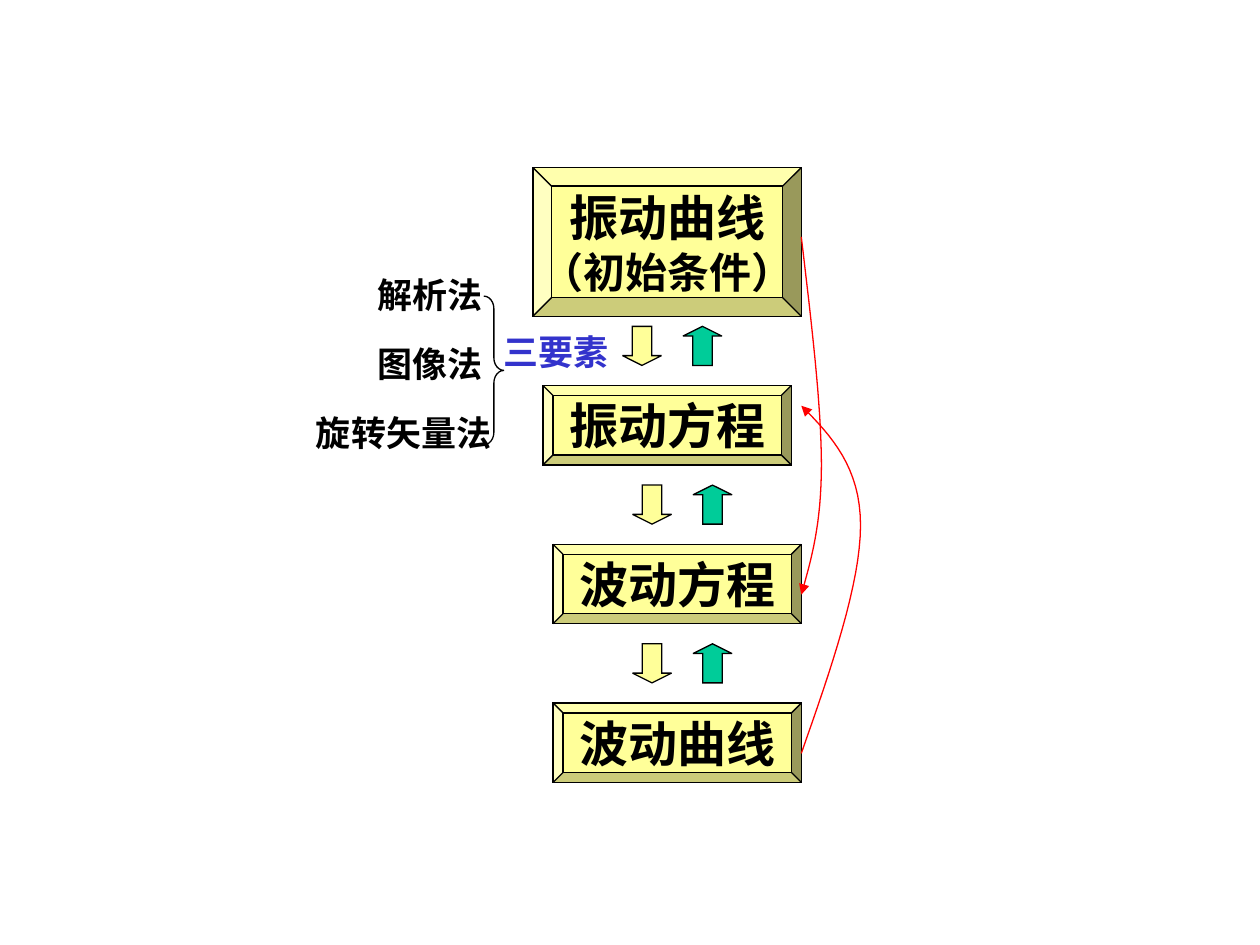
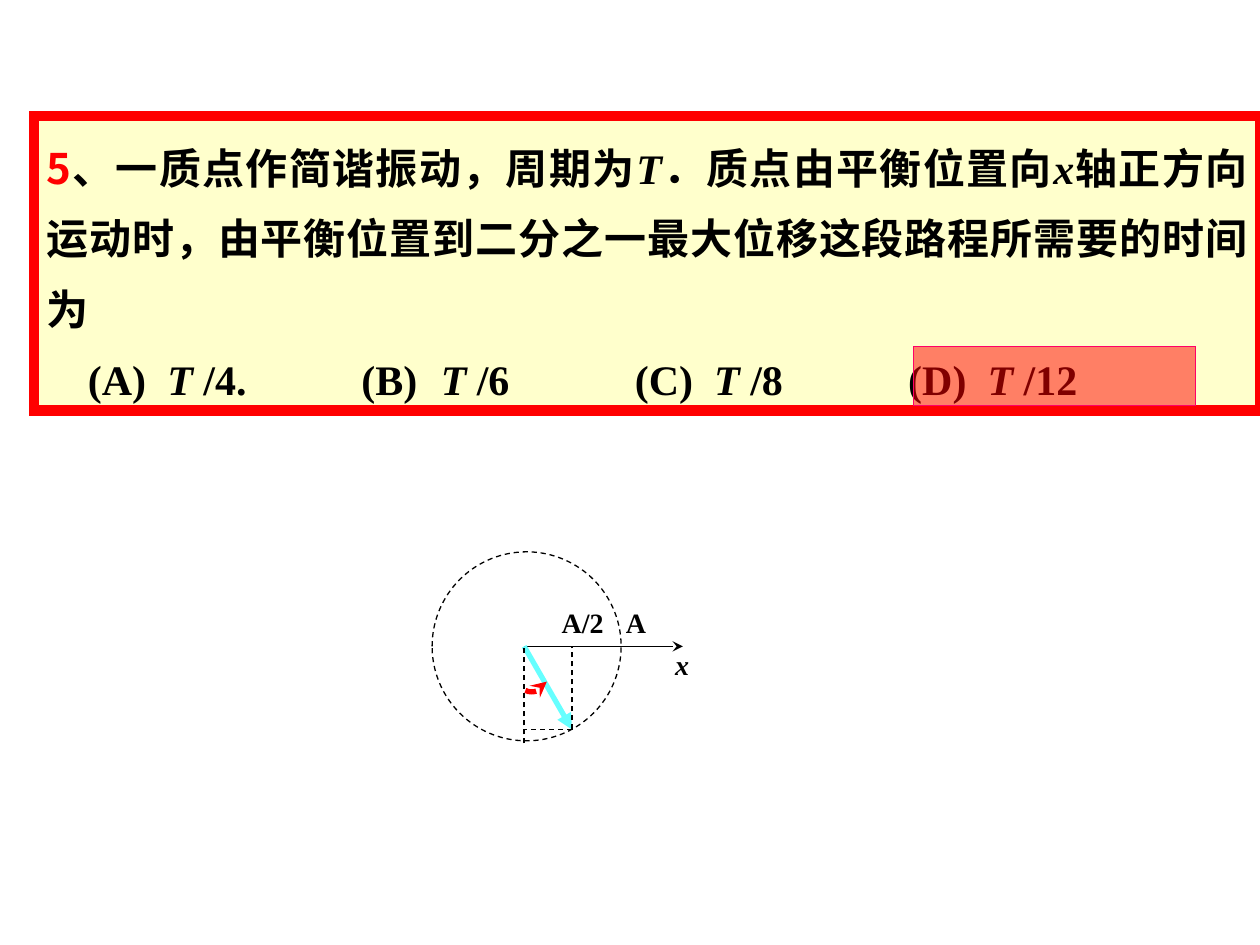
import pptx
import pptx.util
import pptx.dml.color
import pptx.enum.dml
import pptx.enum.shapes
import pptx.enum.text
import pptx.oxml.ns
from lxml import etree

Inches = pptx.util.Inches
Pt = pptx.util.Pt
KIND = pptx.enum.shapes.MSO_SHAPE
ALIGN = pptx.enum.text.PP_ALIGN
ANCHOR = pptx.enum.text.MSO_ANCHOR
FONT = "Times New Roman"
SANS = "Noto Sans CJK JP"
HEX = {
    "ink": "000000", "red": "FF0000", "blue": "3333CC", "green": "00CC99",
    "yellow": "FFFF99", "cream": "FFFFCC", "cyan": "66FFFF", "pink": "FF0066",
}


def color(name):
    return pptx.dml.color.RGBColor.from_string(HEX[name])


def child(parent, tag, **attrs):
    return etree.SubElement(parent, pptx.oxml.ns.qn(tag), attrs)


def stroke(item, name, width=0.75, dash=False, head=None):
    """Style an outline with sharp corners and an optional arrowhead."""
    line = item.line
    line.color.rgb = color(name)
    line.width = Pt(width)
    if dash:
        line.dash_style = pptx.enum.dml.MSO_LINE.DASH
    xml = line._get_or_add_ln()
    child(xml, "a:miter", lim="800000")
    if head:
        child(xml, "a:tailEnd", type=head)


def shape(slide, kind, left, top, width, height, fill=None, line="ink",
          weight=0.75, dash=False):
    item = slide.shapes.add_shape(
        kind, Inches(left), Inches(top), Inches(width), Inches(height))
    item.shadow.inherit = False
    if fill:
        item.fill.solid()
        item.fill.fore_color.rgb = color(fill)
    else:
        item.fill.background()
    stroke(item, line, weight, dash)
    return item


def link(slide, start, end, name="ink", **style):
    item = slide.shapes.add_connector(
        pptx.enum.shapes.MSO_CONNECTOR.STRAIGHT,
        *(Inches(v) for v in (*start, *end)))
    stroke(item, name, **style)
    child(item._element.spPr, "a:effectLst")


def bezier(points, steps):
    """Sample a cubic curve, leaving out its first point."""
    for i in range(1, steps + 1):
        t = i / steps
        parts = ((1 - t) ** 3, 3 * t * (1 - t) ** 2, 3 * t * t * (1 - t), t ** 3)
        yield tuple(Inches(sum(p * point[axis] for p, point in zip(parts, points)))
                    for axis in (0, 1))


def curve(slide, points, head, width=0.75, steps=16):
    """Draw joined cubic curves; each takes three points after the first."""
    path = []
    for i in range(0, len(points) - 1, 3):
        path += bezier(points[i:i + 4], steps)
    pen = slide.shapes.build_freeform(*(Inches(v) for v in points[0]))
    pen.add_line_segments(path, close=False)
    item = pen.convert_to_shape()
    item.shadow.inherit = False
    item.fill.background()
    stroke(item, "red", width, head=head)


def write(para, text, size, name="ink", italic=False, face=FONT):
    run = para.add_run()
    run.text = text
    font = run.font
    font.name, font.size = face, Pt(size)
    font.bold, font.italic = True, italic
    font.color.rgb = color(name)
    child(run._r.get_or_add_rPr(), "a:ea", typeface=SANS)


def label(slide, text, left, top, width, height, size, name="ink", italic=False):
    box = slide.shapes.add_textbox(
        Inches(left), Inches(top), Inches(width), Inches(height))
    box.text_frame.word_wrap = True
    write(box.text_frame.paragraphs[0], text, size, name, italic)


def panel(slide, lines, left, top, width, height):
    """Bevelled box holding centred (text, size) lines."""
    item = shape(slide, KIND.BEVEL, left, top, width, height, "yellow")
    item.adjustments[0] = 0.125
    frame = item.text_frame
    frame.word_wrap = False
    frame.vertical_anchor = ANCHOR.MIDDLE
    for i, (text, size) in enumerate(lines):
        para = frame.add_paragraph() if i else frame.paragraphs[0]
        para.alignment = ALIGN.CENTER
        write(para, text, size)


def flow(slide, left, top):
    """Column of four panels with arrows both ways between them."""
    panel(slide, [("振动曲线", 28), ("（初始条件）", 24)], left, top, 2.13, 1.18)
    steps = [("振动方程", 0.08), ("波动方程", 0.16), ("波动曲线", 0.16)]
    for i, (text, shift) in enumerate(steps):
        row = top + 1.73 + 1.26 * i
        panel(slide, [(text, 28)], left + shift, row, 1.97, 0.63)
        nudge = 0.08 if i else 0
        for kind, gap, fill in ((KIND.DOWN_ARROW, 0.71, "yellow"),
                                (KIND.UP_ARROW, 1.19, "green")):
            arrow = shape(slide, kind, left + gap + nudge, row - 0.47,
                          0.31, 0.31, fill)
            arrow.adjustments[0], arrow.adjustments[1] = 0.5, 0.25


def methods(slide, left, top):
    """Three methods gathered by a brace."""
    brace = shape(slide, KIND.RIGHT_BRACE, left + 1.43, top + 0.23, 0.16, 1.18)
    brace.adjustments[0], brace.adjustments[1] = 0.62, 0.5
    rows = [("解析法", 0.49, 1.15), ("图像法", 0.49, 1.15), ("旋转矢量法", 0, 1.7)]
    for i, (text, shift, width) in enumerate(rows):
        label(slide, text, left + shift, top + 0.55 * i, width, 0.44, 20)
    label(slide, "三要素", left + 1.49, top + 0.45, 1.15, 0.44, 20, "blue")


def loops(slide, x):
    """Red curves that skip a step, both starting at x."""
    curve(slide, [(x, 1.88), (x + 0.08, 2.55), (x + 0.16, 3.22), (x + 0.16, 3.69),
                  (x + 0.16, 4.16), (x + 0.08, 4.44), (x, 4.72)], "triangle")
    curve(slide, [(x, 5.98), (x + 0.24, 5.3), (x + 0.47, 4.63), (x + 0.47, 4.17),
                  (x + 0.47, 3.71), (x + 0.24, 3.46), (x, 3.22)], "triangle")


def quiz(slide, left, top, width, height):
    """Framed question with four choices, the right one marked."""
    card = shape(slide, KIND.RECTANGLE, left, top, width, height,
                 "cream", "red", weight=6)
    frame = card.text_frame
    frame.word_wrap = True
    frame.vertical_anchor = ANCHOR.TOP
    ask, picks = frame.paragraphs[0], frame.add_paragraph()
    ask.alignment, picks.alignment = ALIGN.JUSTIFY, ALIGN.LEFT
    ask.line_spacing = picks.line_spacing = 1.4
    write(ask, "5", 24, "red", face=SANS)
    for text, italic in (
            ("、一质点作简谐振动，周期为", False), ("T", True),
            ("．质点由平衡位置向", False), ("x", True),
            ("轴正方向运动时，由平衡位置到二分之一最大位移这段路程所需要的时间为", False)):
        write(ask, text, 24, italic=italic)
    tabs = child(picks._p.get_or_add_pPr(), "a:tabLst")
    for i, (letter, value) in enumerate(zip("ABCD", ("4.", "6", "8", "12"))):
        for stop in (0.33 + 2.17 * i, 0.96 + 2.17 * i):
            child(tabs, "a:tab", pos=str(Inches(stop)), algn="l")
        write(picks, f"\t({letter})\t", 24)
        write(picks, "T", 24, italic=True)
        write(picks, f" /{value}", 24)
    mark = shape(slide, KIND.RECTANGLE, left + 6.98, top + 1.83, 2.24, 0.47,
                 "red", "pink")
    tint = mark._element.spPr.find(".//" + pptx.oxml.ns.qn("a:srgbClr"))
    child(tint, "a:alpha", val="50000")


def circle(slide, left, top):
    """Rotating vector on its reference circle."""
    x, y = left + 0.73, top + 0.75
    tip = (x + 0.38, y + 0.66)
    shape(slide, KIND.OVAL, left, top, 1.5, 1.5, dash=True)
    link(slide, (x, y), (x + 1.26, y), head="stealth")
    link(slide, (x, y), tip, "cyan", width=3, head="triangle")
    for start, end in (((x, y + 0.77), (x, y)),
                       (tip, (tip[0], y)), (tip, (x, tip[1]))):
        link(slide, start, end, dash=True)
    curve(slide, [(x + 0.01, y + 0.35), (x + 0.07, y + 0.38),
                  (x + 0.15, y + 0.35), (x + 0.18, y + 0.28)],
          "stealth", width=3, steps=8)
    label(slide, "A", x + 0.71, y - 0.37, 0.37, 0.31, 16)
    label(slide, "A/2", x + 0.2, y - 0.37, 0.63, 0.31, 16)
    label(slide, "x", x + 1.1, y - 0.04, 0.4, 0.31, 16, italic=True)


def main():
    deck = pptx.Presentation()
    deck.slide_width, deck.slide_height = Inches(10), Inches(7.5)
    blank = deck.slide_layouts[6]
    chain = deck.slides.add_slide(blank)
    flow(chain, 4.23, 1.33)
    methods(chain, 2.41, 2.12)
    loops(chain, 6.36)
    task = deck.slides.add_slide(blank)
    quiz(task, 0.27, 0.92, 9.73, 2.34)
    circle(task, 3.43, 4.38)
    deck.save("out.pptx")


if __name__ == "__main__":
    main()
